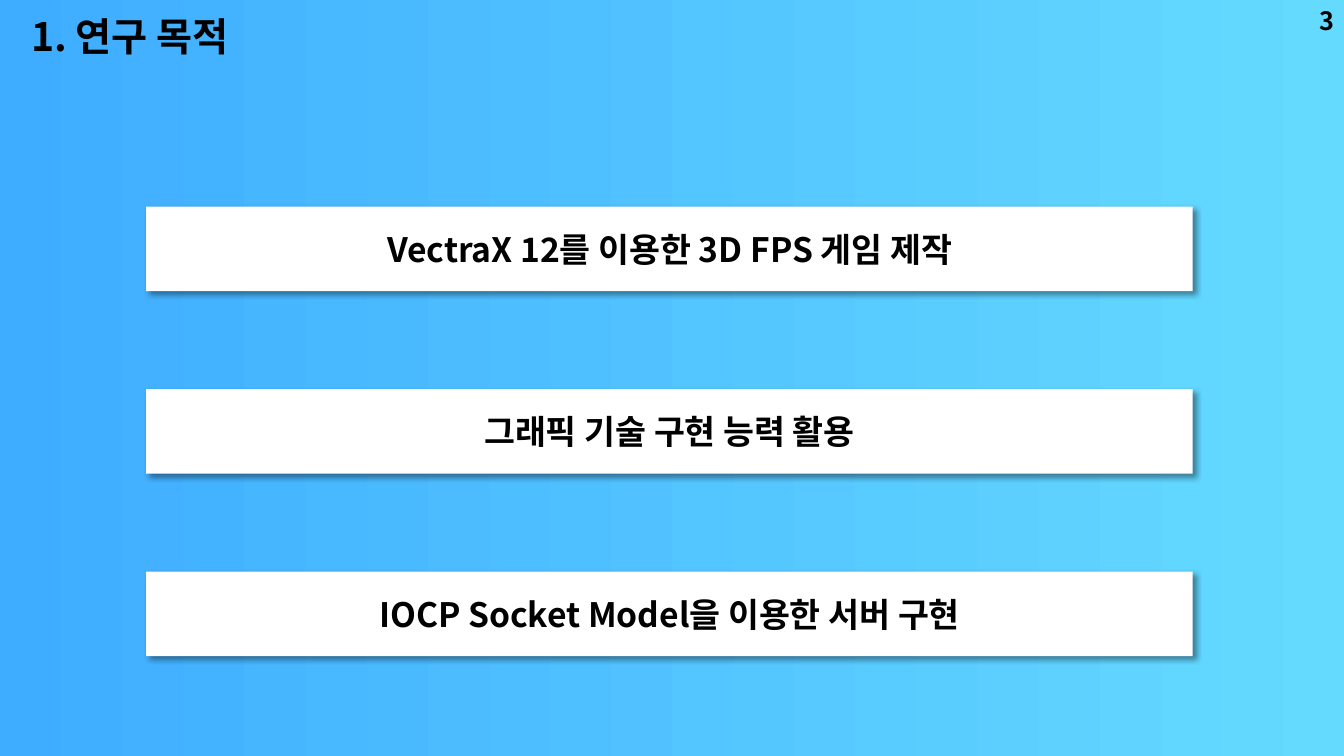
"""Build the research purpose slide with three goal bars."""
from dataclasses import dataclass

from lxml import etree
from pptx import Presentation
from pptx.dml.color import RGBColor
from pptx.enum.shapes import MSO_SHAPE
from pptx.enum.text import MSO_ANCHOR, MSO_AUTO_SIZE, PP_ALIGN
from pptx.oxml.ns import qn
from pptx.shapes.autoshape import Shape
from pptx.slide import Slide
from pptx.util import Inches, Pt

RECTANGLE = MSO_SHAPE.RECTANGLE
MIDDLE, TOP = MSO_ANCHOR.MIDDLE, MSO_ANCHOR.TOP
LEFT, CENTER, RIGHT = PP_ALIGN.LEFT, PP_ALIGN.CENTER, PP_ALIGN.RIGHT
FIT_SHAPE = MSO_AUTO_SIZE.SHAPE_TO_FIT_TEXT

FONT = "Noto Sans CJK KR"
BLACK, WHITE = "000000", "FFFFFF"
SKY_COLORS = ("3FADFF", "65DAFF")
GOALS = (
    "VectraX 12를 이용한 3D FPS 게임 제작",
    "그래픽 기술 구현 능력 활용",
    "IOCP Socket Model을 이용한 서버 구현",
)
FIRST_GOAL_TOP, GOAL_PITCH = 2.05, 1.81


@dataclass(frozen=True)
class Label:
    text: str
    left: float
    top: float
    width: float
    height: float
    size: int
    align: PP_ALIGN
    anchor: MSO_ANCHOR = MIDDLE
    wrap: bool = True


def color(value: str) -> RGBColor:
    return RGBColor.from_string(value)


def box(label: Label) -> tuple[int, int, int, int]:
    return (Inches(label.left), Inches(label.top),
            Inches(label.width), Inches(label.height))


def write(shape: Shape, label: Label) -> None:
    frame = shape.text_frame
    frame.word_wrap = label.wrap
    frame.vertical_anchor = label.anchor
    frame.text = label.text
    paragraph = frame.paragraphs[0]
    paragraph.alignment = label.align
    font = paragraph.font
    font.name, font.size, font.bold = FONT, Pt(label.size), True
    font.color.rgb = color(BLACK)
    defaults = paragraph._p.get_or_add_pPr().find(qn("a:defRPr"))
    etree.SubElement(defaults, qn("a:ea"), typeface=FONT)


def add_shadow(shape: Shape) -> None:
    shape.shadow.inherit = False
    effects = shape._element.spPr.find(qn("a:effectLst"))
    shadow = etree.SubElement(
        effects, qn("a:outerShdw"), blurRad=str(Pt(4)), dist=str(Pt(3)),
        dir=str(45 * 60000), algn="tl", rotWithShape="0")
    tint = etree.SubElement(shadow, qn("a:srgbClr"), val=BLACK)
    etree.SubElement(tint, qn("a:alpha"), val="40000")


def add_text(slide: Slide, label: Label) -> Shape:
    text_box = slide.shapes.add_textbox(*box(label))
    write(text_box, label)
    return text_box


def add_goal(slide: Slide, label: Label) -> None:
    bar = slide.shapes.add_shape(RECTANGLE, *box(label))
    bar.fill.solid()
    bar.fill.fore_color.rgb = color(WHITE)
    bar.line.fill.background()
    add_shadow(bar)
    write(bar, label)


def paint_background(slide: Slide) -> None:
    fill = slide.background.fill
    fill.gradient()
    fill.gradient_angle = 0
    for stop, value in zip(fill.gradient_stops, SKY_COLORS):
        stop.color.rgb = color(value)


def main() -> None:
    deck = Presentation()
    deck.slide_width, deck.slide_height = Inches(13.33), Inches(7.5)
    slide = deck.slides.add_slide(deck.slide_layouts[6])
    paint_background(slide)
    title = add_text(slide, Label("1. 연구 목적", 0.21, 0.07, 2.38, 0.57,
                                  28, LEFT, TOP, wrap=False))
    title.text_frame.auto_size = FIT_SHAPE
    add_text(slide, Label("3", 10.33, 0, 3, 0.4, 18, RIGHT))
    for row, goal in enumerate(GOALS):
        top = FIRST_GOAL_TOP + row * GOAL_PITCH
        add_goal(slide, Label(goal, 1.45, top, 10.38, 0.84, 24, CENTER))
    deck.save("out.pptx")


if __name__ == "__main__":
    main()
